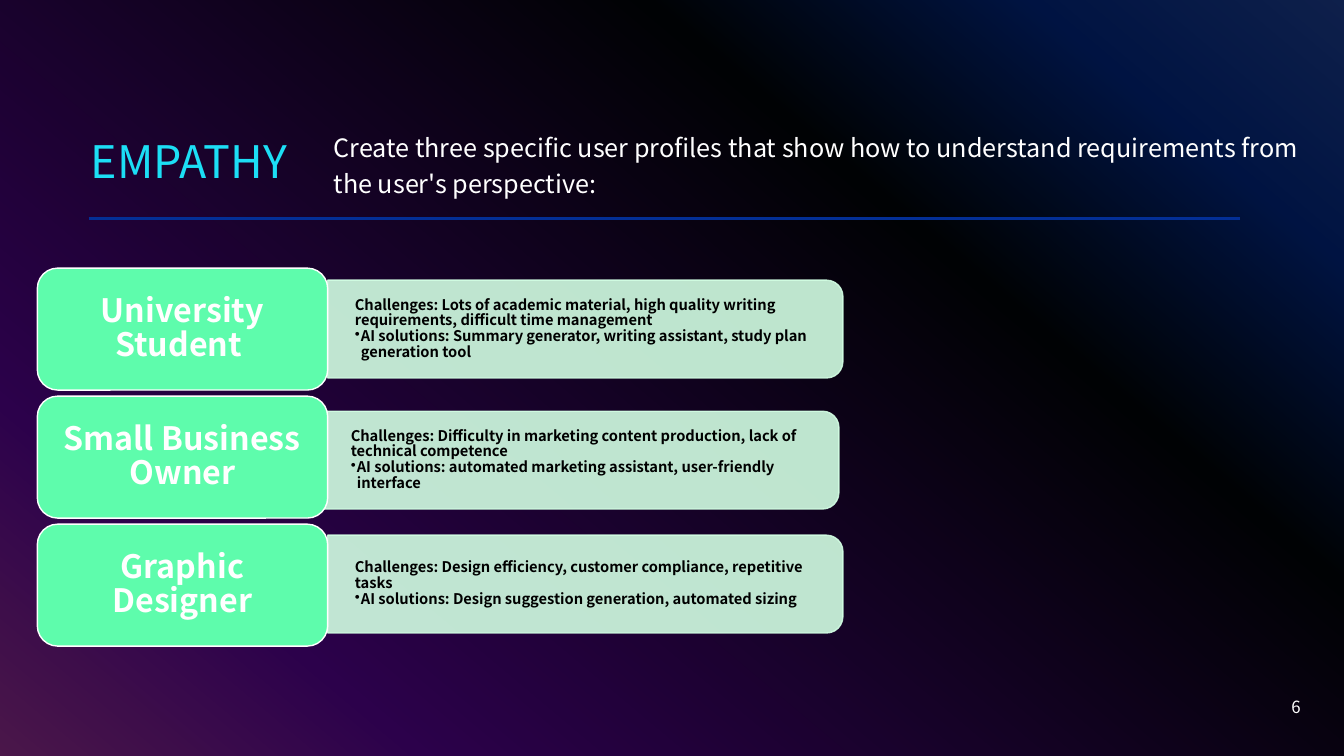
from dataclasses import dataclass

from lxml.etree import SubElement
from pptx import Presentation
from pptx.dml.color import RGBColor
from pptx.enum.shapes import MSO_CONNECTOR as Connector, MSO_SHAPE as Shape
from pptx.enum.text import MSO_ANCHOR as Anchor, MSO_AUTO_SIZE as AutoSize, PP_ALIGN as Align
from pptx.oxml.ns import qn
from pptx.util import Inches, Pt


@dataclass(frozen=True)
class Theme:
    font: str = "Noto Sans CJK SC"
    title: str = "1CDFF5"
    light: str = "FFFFFF"
    dark: str = "000000"
    rule: str = "032F96"
    label: str = "5EFCAC"
    card: str = "D2FEE3"
    backdrop: tuple = ((0, "316CFC"), (14, "0343DF"), (31, "02090E"),
                       (81, "9405FC"), (100, "FC4EFB"))
    title_pt: float = 32
    label_pt: float = 23
    intro_pt: float = 18
    number_pt: float = 12
    card_pt: float = 10.5


class SlideBuilder:
    def __init__(self, slide, theme):
        self.s, self.theme = slide, theme

    def set_alpha(self, fill, percent):
        color = fill.fore_color._xFill[0]
        SubElement(color, qn("a:alpha")).set("val", str(percent * 1000))

    def style(self, p, size, color, bold=False, spacing=None, align=Align.LEFT):
        p.alignment = align
        if spacing:
            p.line_spacing = spacing
        for r in p.runs:
            r.font.name, r.font.size, r.font.bold = self.theme.font, Pt(size), bold
            r.font.color.rgb = RGBColor.from_string(color)

    def backdrop(self, angle):
        fill = self.s.background.fill
        fill.gradient()
        fill.gradient_angle = 360 - angle
        stops = self.s.element.find(".//" + qn("a:gsLst"))
        for stop in list(stops):
            stops.remove(stop)
        for position, color in self.theme.backdrop:
            stop = SubElement(stops, qn("a:gs"), pos=str(position * 1000))
            SubElement(stop, qn("a:srgbClr"), val=color)

    def shape(self, kind, left, top, width, height, fill, line=None, alpha=None):
        sp = self.s.shapes.add_shape(kind, Inches(left), Inches(top),
                                     Inches(width), Inches(height))
        sp.shadow.inherit = False
        sp.fill.solid()
        sp.fill.fore_color.rgb = RGBColor.from_string(fill)
        if line:
            sp.line.color.rgb = RGBColor.from_string(line)
            sp.line.width = Pt(1)
        else:
            sp.line.fill.background()
        if alpha:
            self.set_alpha(sp.fill, alpha)
            if line:
                self.set_alpha(sp.line.fill, alpha)
        return sp

    def overlay(self, width, height, alpha):
        sp = self.shape(Shape.RECTANGLE, 0, 0, width, height, self.theme.dark, alpha=alpha)
        self.s.shapes.element.insert(2, sp.element)  # behind the title

    def rule(self, left, right, y):
        line = self.s.shapes.add_connector(Connector.STRAIGHT, Inches(left), Inches(y),
                                           Inches(right), Inches(y))
        line.line.color.rgb = RGBColor.from_string(self.theme.rule)
        line.line.width = Pt(2)
        SubElement(line.element.spPr, qn("a:effectLst"))

    def title(self, text, left, top, width, height):
        sp = self.s.shapes.title
        sp.left, sp.top = Inches(left), Inches(top)
        sp.width, sp.height = Inches(width), Inches(height)
        tf = sp.text_frame
        tf.text = text
        tf.auto_size = AutoSize.NONE
        tf.vertical_anchor = Anchor.BOTTOM
        self.style(tf.paragraphs[0], self.theme.title_pt, self.theme.title, spacing=0.9)

    def text_box(self, text, left, top, width, height, anchor=Anchor.TOP):
        sp = self.s.shapes.add_textbox(Inches(left), Inches(top), Inches(width), Inches(height))
        tf = sp.text_frame
        tf.word_wrap = True
        tf.vertical_anchor = anchor
        tf.text = text
        return tf

    def label(self, text, left, top, width, height):
        sp = self.shape(Shape.ROUNDED_RECTANGLE, left, top, width, height,
                        self.theme.label, self.theme.light)
        tf = sp.text_frame
        tf.word_wrap = True
        tf.vertical_anchor = Anchor.MIDDLE
        tf.text = text
        self.style(tf.paragraphs[0], self.theme.label_pt, self.theme.light,
                   bold=True, spacing=0.9, align=Align.CENTER)

    def card(self, challenges, solutions, left, top, width, height):
        # The upright shape is turned so its round corners face right
        sp = self.shape(Shape.ROUND_2_SAME_RECTANGLE, left + (width - height) / 2,
                        top - (width - height) / 2, height, width,
                        self.theme.card, self.theme.card, alpha=90)
        sp.rotation = 90
        tf = self.text_box(f"{challenges}\n{solutions}", left, top + 0.05,
                           width - 0.05, height - 0.1, Anchor.MIDDLE)
        tf.margin_left = tf.margin_right = Inches(0.27)
        tf.margin_top = tf.margin_bottom = Inches(0.14)
        self.bullet(tf.paragraphs[1])
        for p in tf.paragraphs:
            self.style(p, self.theme.card_pt, self.theme.dark, bold=True, spacing=0.9)

    def bullet(self, p):
        pPr = p._p.get_or_add_pPr()
        pPr.set("marL", str(Inches(0.06)))
        pPr.set("indent", str(-Inches(0.06)))
        SubElement(pPr, qn("a:buChar"), char="•")


# Label, challenges, solutions, card left, card top
PROFILES = (
    ("University Student ",
     "Challenges: Lots of academic material, high quality writing requirements, "
     "difficult time management",
     "AI solutions: Summary generator, writing assistant, study plan generation tool",
     3.25, 2.78),
    ("Small Business Owner",
     "Challenges: Difficulty in marketing content production, lack of technical competence",
     "AI solutions: automated marketing assistant, user-friendly interface",
     3.21, 4.08),
    ("Graphic Designer",
     "Challenges: Design efficiency, customer compliance, repetitive tasks",
     "AI solutions: Design suggestion generation, automated sizing",
     3.25, 5.31),
)


def main():
    prs = Presentation()
    prs.slide_width, prs.slide_height = Inches(13.33), Inches(7.5)
    theme = Theme()
    b = SlideBuilder(prs.slides.add_slide(prs.slide_layouts[5]), theme)

    # Backdrop
    b.backdrop(130)
    b.overlay(13.33, 7.5, alpha=70)
    b.rule(0.88, 12.3, 2.17)

    # Heading
    b.title("EMPATHY", 0.8, 0.47, 11.5, 1.45)
    tf = b.text_box("Create three specific user profiles that show how to understand "
                    "requirements from the user's perspective:", 3.21, 1.2, 9.79, 0.9)
    b.style(tf.paragraphs[0], theme.intro_pt, theme.light, spacing=1.2)

    # Slide number
    tf = b.text_box("6", 10, 6.81, 3, 0.4, Anchor.MIDDLE)
    b.style(tf.paragraphs[0], theme.number_pt, theme.light, align=Align.RIGHT)

    # User profiles
    for i, (name, challenges, solutions, left, top) in enumerate(PROFILES):
        b.card(challenges, solutions, left, top, 5.11, 0.97)
        b.label(name, 0.37, 2.66 + 1.27 * i, 2.88, 1.21)

    prs.save("out.pptx")


if __name__ == "__main__":
    main()
